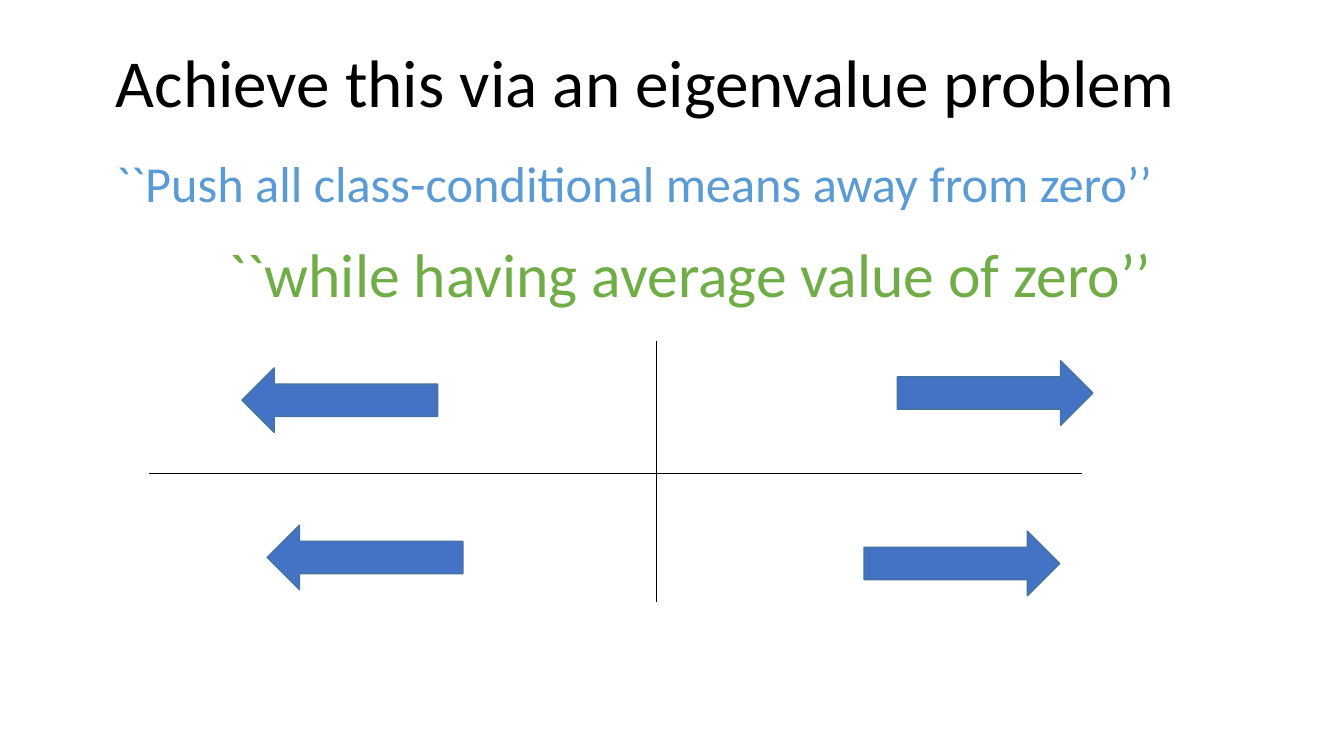
"""Build the slide on pushing class-conditional means away from zero."""
from dataclasses import dataclass

from lxml.etree import SubElement
from pptx import Presentation
from pptx.dml.color import RGBColor
from pptx.enum.shapes import MSO_CONNECTOR, MSO_SHAPE
from pptx.enum.text import MSO_ANCHOR, MSO_AUTO_SIZE, PP_ALIGN
from pptx.oxml.ns import qn
from pptx.util import Inches, Pt

BLACK = RGBColor(0x00, 0x00, 0x00)
LIGHT_BLUE = RGBColor(0x5B, 0x9B, 0xD5)
GREEN = RGBColor(0x70, 0xAD, 0x47)
ARROW_FILL = RGBColor(0x44, 0x72, 0xC4)
ARROW_EDGE = RGBColor(0x43, 0x73, 0x9E)
FONT = "Calibri"
ARROW_WIDTH, ARROW_HEIGHT = 1.94, 0.64


@dataclass
class Arrow:
    left: float
    top: float
    rotation: int = 0


@dataclass
class Axis:
    start: tuple[float, float]
    end: tuple[float, float]


ARROWS = [
    Arrow(8.9, 3.58),
    Arrow(8.57, 5.27),
    Arrow(2.65, 5.21, rotation=180),
    Arrow(2.4, 3.65, rotation=180),
]
AXES = [Axis((1.48, 4.7), (10.73, 4.7)), Axis((6.51, 3.38), (6.51, 5.97))]


def write_text(box, text: str, *, left: float, top: float, width: float,
               height: float, size: int, color: RGBColor) -> None:
    box.left, box.top = Inches(left), Inches(top)
    box.width, box.height = Inches(width), Inches(height)
    frame = box.text_frame
    frame.word_wrap = False
    frame.auto_size = MSO_AUTO_SIZE.SHAPE_TO_FIT_TEXT
    frame.vertical_anchor = MSO_ANCHOR.TOP
    para = frame.paragraphs[0]
    para.alignment = PP_ALIGN.LEFT
    span = para.add_run()
    span.text = text
    span.font.name = FONT
    span.font.size = Pt(size)
    span.font.color.rgb = color


def draw_axis(page, axis: Axis) -> None:
    line = page.shapes.add_connector(
        MSO_CONNECTOR.STRAIGHT, *map(Inches, axis.start + axis.end))
    line.line.color.rgb = BLACK
    line.line.width = Pt(0.5)
    SubElement(line._element.spPr, qn("a:effectLst"))


def draw_arrow(page, arrow: Arrow) -> None:
    shape = page.shapes.add_shape(
        MSO_SHAPE.RIGHT_ARROW, Inches(arrow.left), Inches(arrow.top),
        Inches(ARROW_WIDTH), Inches(ARROW_HEIGHT))
    shape.rotation = arrow.rotation
    shape.shadow.inherit = False
    shape.fill.solid()
    shape.fill.fore_color.rgb = ARROW_FILL
    shape.line.color.rgb = ARROW_EDGE
    shape.line.width = Pt(1)


def main() -> None:
    deck = Presentation()
    deck.slide_width, deck.slide_height = Inches(13.33), Inches(7.5)
    page = deck.slides.add_slide(deck.slide_layouts.get_by_name("Title Only"))

    write_text(page.shapes.title, "Achieve this via an eigenvalue problem",
               left=1.05, top=0.35, width=10.97, height=0.91,
               size=48, color=BLACK)
    for axis in AXES:
        draw_axis(page, axis)
    for arrow in ARROWS:
        draw_arrow(page, arrow)
    write_text(page.shapes.add_textbox(0, 0, 0, 0),
               "``Push all class-conditional means away from zero’’",
               left=1.05, top=1.46, width=10.57, height=0.71,
               size=36, color=LIGHT_BLUE)
    write_text(page.shapes.add_textbox(0, 0, 0, 0),
               "``while having average value of zero’’",
               left=2.17, top=2.29, width=9.45, height=0.84,
               size=44, color=GREEN)
    deck.save("out.pptx")


if __name__ == "__main__":
    main()
